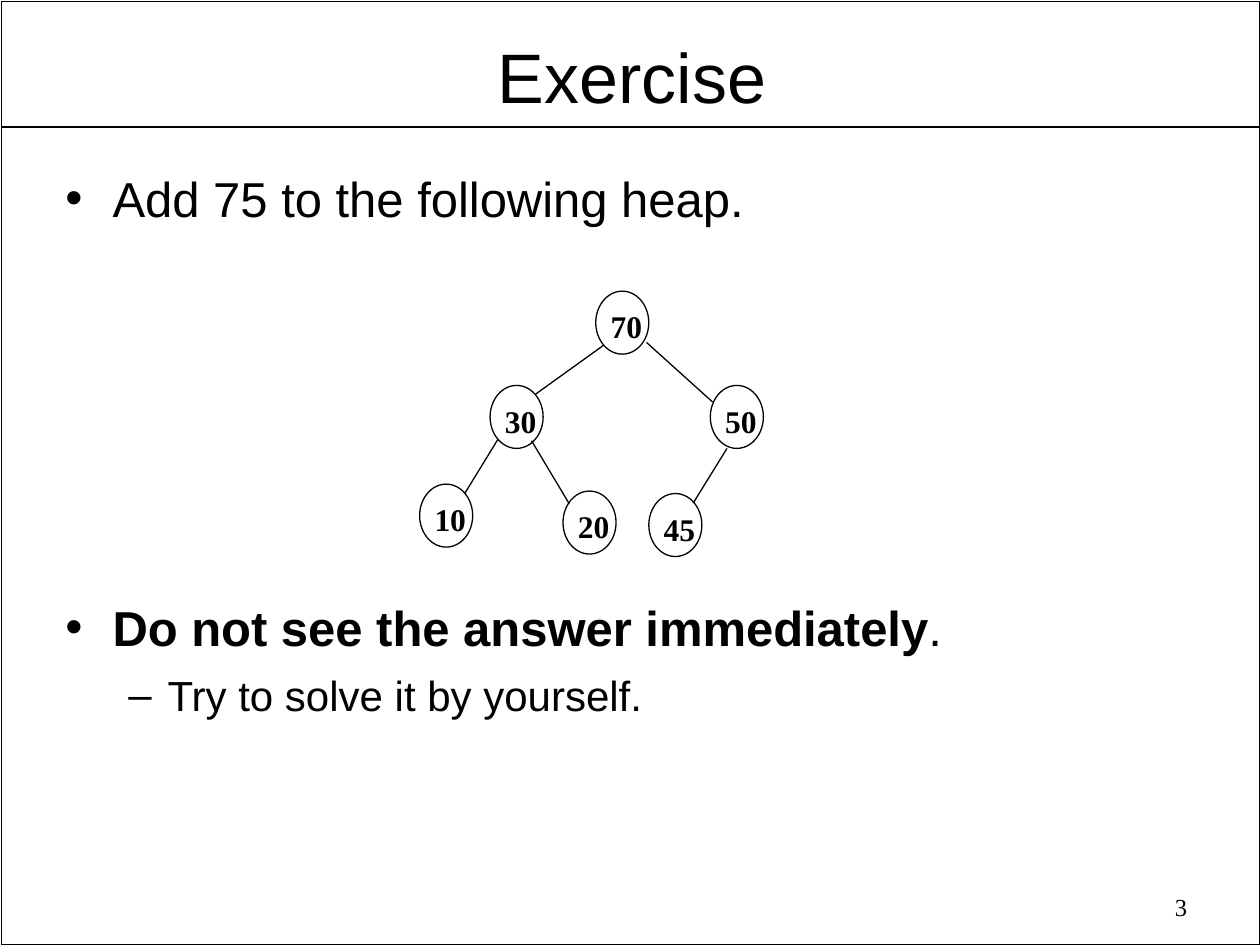
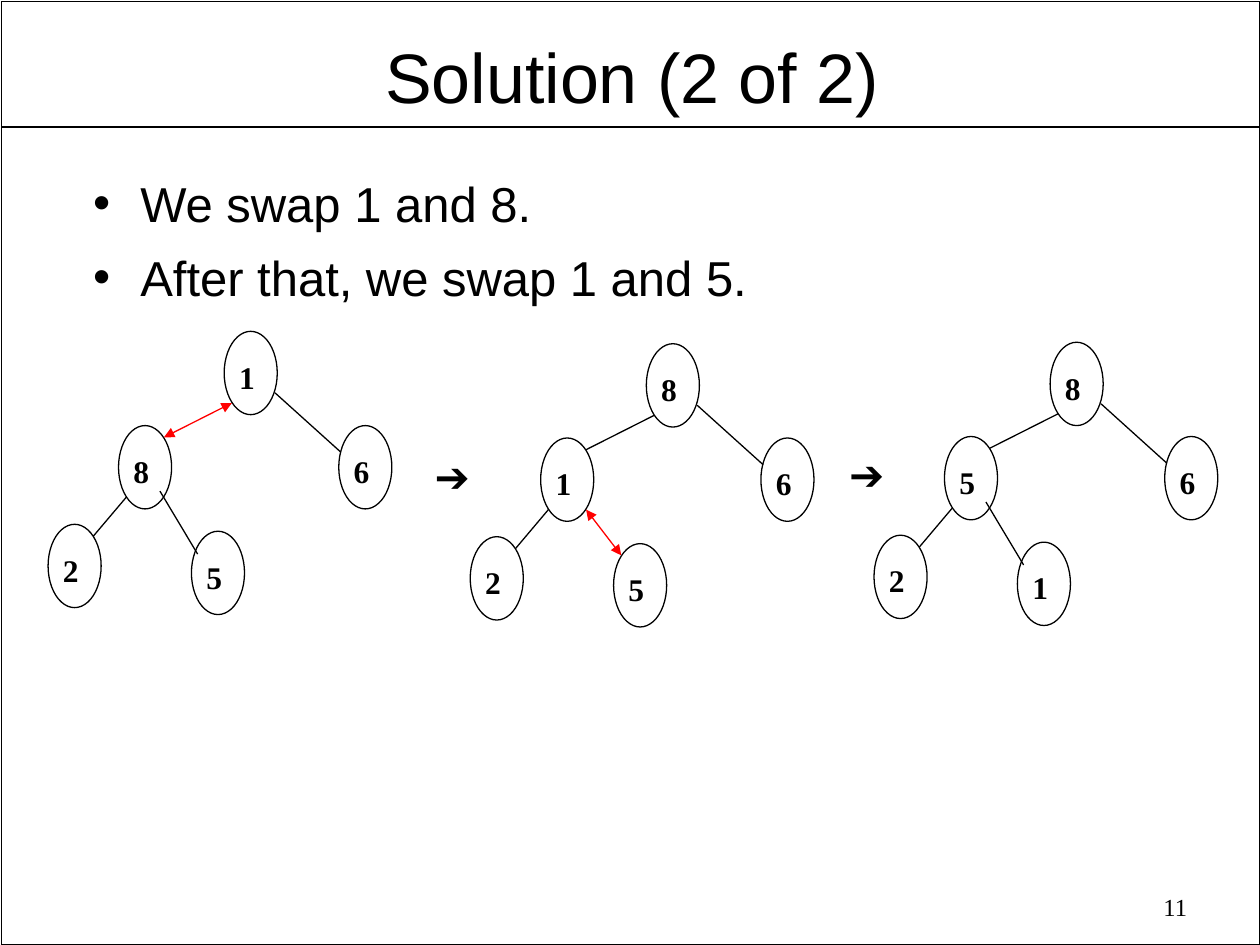
from lxml import etree
from pptx import Presentation
from pptx.dml.color import RGBColor
from pptx.enum.shapes import MSO_CONNECTOR, MSO_SHAPE
from pptx.enum.text import PP_ALIGN
from pptx.oxml.ns import qn
from pptx.util import Cm, Pt

LEFT, MID, RIGHT = PP_ALIGN.LEFT, PP_ALIGN.CENTER, PP_ALIGN.RIGHT
RECT, OVAL = MSO_SHAPE.RECTANGLE, MSO_SHAPE.OVAL
LINE = MSO_CONNECTOR.STRAIGHT

COLORS = {"ink": "000000", "swap": "FF0000"}
SANS, SERIF = "Arial", "Times New Roman"

# Node places in cm, measured from the top left of the root.
NODE_W = 1.07
PLACES = {
    "root": (0, 0),
    "L": (-2.13, 1.9),
    "R": (2.31, 1.9),
    "LL": (-3.55, 3.89),
    "LR": (-0.66, 4.03),
    "RL": (1.07, 4.08),
}
PARENTS = {"L": "root", "R": "root", "LL": "L", "LR": "L", "RL": "R"}
# Edge ends in cm, measured from the centres of parent and child.
RIGHT_ENDS = {
    "R": ((0.49, 0.4), (-0.49, -0.3)),
    "LR": ((0.3, 0.48), (-0.41, -0.38)),
}

# Bullet by level: sign, text indent in cm, hanging part in cm, size.
BULLETS = [("•", 0.95, 0.95, 28), ("–", 2.06, 0.79, 24)]


def rgb(name):
    return RGBColor.from_string(COLORS[name])


def write(para, text, size=18, font=SANS, bold=False, color="ink"):
    run = para.add_run()
    run.text = text
    run.font.size = Pt(size)
    run.font.name = font
    run.font.bold = bold
    run.font.color.rgb = rgb(color)


def add_box(shapes, x, y, w, h, wrap=True):
    frame = shapes.add_textbox(Cm(x), Cm(y), Cm(w), Cm(h)).text_frame
    frame.word_wrap = wrap
    frame.margin_top = Cm(0.2)
    frame.margin_bottom = 0
    return frame


def add_label(shapes, text, x, y, w, h, align=LEFT, wrap=True, **style):
    para = add_box(shapes, x, y, w, h, wrap).paragraphs[0]
    para.alignment = align
    write(para, text, **style)


def add_outline(shapes, kind, x, y, w, h, width):
    shape = shapes.add_shape(kind, Cm(x), Cm(y), Cm(w), Cm(h))
    shape.shadow.inherit = False
    shape.fill.background()
    shape.line.color.rgb = rgb("ink")
    shape.line.width = Pt(width)


def add_line(shapes, start, end, width=0.75, color="ink", arrows=False):
    line = shapes.add_connector(LINE, *(Cm(n) for n in (*start, *end)))
    line.line.color.rgb = rgb(color)
    line.line.width = Pt(width)
    props = line._element.spPr
    if arrows:
        stroke = props.find(qn("a:ln"))
        for tag in ("a:headEnd", "a:tailEnd"):
            etree.SubElement(stroke, qn(tag), type="triangle")
    etree.SubElement(props, qn("a:effectLst"))


def add_list(shapes, x, y, h, items):
    """Each item is (level, space before in points, [(text, bold), ...])."""
    frame = add_box(shapes, x, y, 23.29, h)
    for i, (level, gap, parts) in enumerate(items):
        para = frame.add_paragraph() if i else frame.paragraphs[0]
        sign, indent, hang, size = BULLETS[level]
        para.level = level
        para.space_before = Pt(gap)
        props = para._p.get_or_add_pPr()
        props.set("marL", str(Cm(indent)))
        props.set("indent", str(-Cm(hang)))
        etree.SubElement(props, qn("a:buFont"), typeface=SANS)
        etree.SubElement(props, qn("a:buChar"), char=sign)
        for text, bold in parts:
            write(para, text, size=size, bold=bold)


def add_node(shapes, text, x, y, h):
    group = shapes.add_group_shape().shapes
    add_label(group, text, x + 0.05, y + (h - 1.02) / 2, 1.14, 1.02,
              wrap=False, font=SERIF, bold=True)
    add_outline(group, OVAL, x, y, NODE_W, h, 0.75)


def find_ends(key, h, swap):
    """Offsets of an edge's ends from the centres of its two nodes."""
    if key in RIGHT_ENDS and not swap:
        return RIGHT_ENDS[key]
    if key == "RL":
        return (-0.2, h / 2), (0.36, -0.35 * h)
    side = 0.38 if key.endswith("R") else -0.38
    return (side, 0.36 * h), (-side, -0.36 * h)


def add_heap(shapes, x, y, h, nodes, swap=None):
    """Draw a heap with its root at x, y; swap names the child that moves."""
    spots = {key: (x + PLACES[key][0], y + PLACES[key][1]) for key in nodes}
    for key, text in nodes.items():
        add_node(shapes, text, *spots[key], h)
    for key in nodes:
        if key == "root":
            continue
        moved = key == swap
        ends = []
        for node, (dx, dy) in zip((PARENTS[key], key), find_ends(key, h, moved)):
            left, top = spots[node]
            ends.append((left + NODE_W / 2 + dx, top + h / 2 + dy))
        add_line(shapes, *ends, color="swap" if moved else "ink", arrows=moved)


def add_page(deck, title, number):
    shapes = deck.slides.add_slide(deck.slide_layouts[6]).shapes
    add_outline(shapes, RECT, 0.03, 0.03, 25.37, 19.02, 1)
    add_line(shapes, (0.03, 2.56), (25.37, 2.56), width=1)
    add_label(shapes, title, 1.35, 0.48, 22.78, 1.83, align=MID, size=40)
    add_label(shapes, number, 18.24, 17.78, 5.94, 0.91, align=RIGHT,
              size=14, font=SERIF)
    return shapes


def add_task(deck):
    shapes = add_page(deck, "Exercise", "3")
    add_list(shapes, 1.07, 3.2, 13.94, [
        (0, 0, [("Add 75 to the following heap.", False)]),
        (0, 211.5, [("Do not see the answer immediately", True), (".", False)]),
        (1, 7.5, [("Try to solve it by yourself.", False)]),
    ])
    add_heap(shapes, 12.01, 5.87, 1.27, {
        "root": "70", "L": "30", "R": "50", "LL": "10", "LR": "20", "RL": "45",
    })


def add_answer(deck):
    shapes = add_page(deck, "Solution (2 of 2)", "11")
    add_list(shapes, 1.63, 3.3, 3.91, [
        (0, 0, [("We swap 1 and 8.", False)]),
        (0, 8.4, [("After that, we swap 1 and 5.", False)]),
    ])
    steps = [
        (4.52, 6.68, "18625", "L"),
        (13.03, 6.93, "81625", "LR"),
        (21.17, 6.9, "85621", None),
    ]
    for x, y, digits, swap in steps:
        nodes = dict(zip(("root", "L", "R", "LL", "LR"), digits))
        add_heap(shapes, x, y, 1.68, nodes, swap)
    for x, y in ((8.51, 8.89), (16.87, 8.84)):
        add_label(shapes, "➔", x, y, 1.35, 1.27, wrap=False, size=24)


def main():
    deck = Presentation()
    deck.slide_width, deck.slide_height = Cm(25.4), Cm(19.05)
    add_task(deck)
    add_answer(deck)
    deck.save("out.pptx")


if __name__ == "__main__":
    main()
